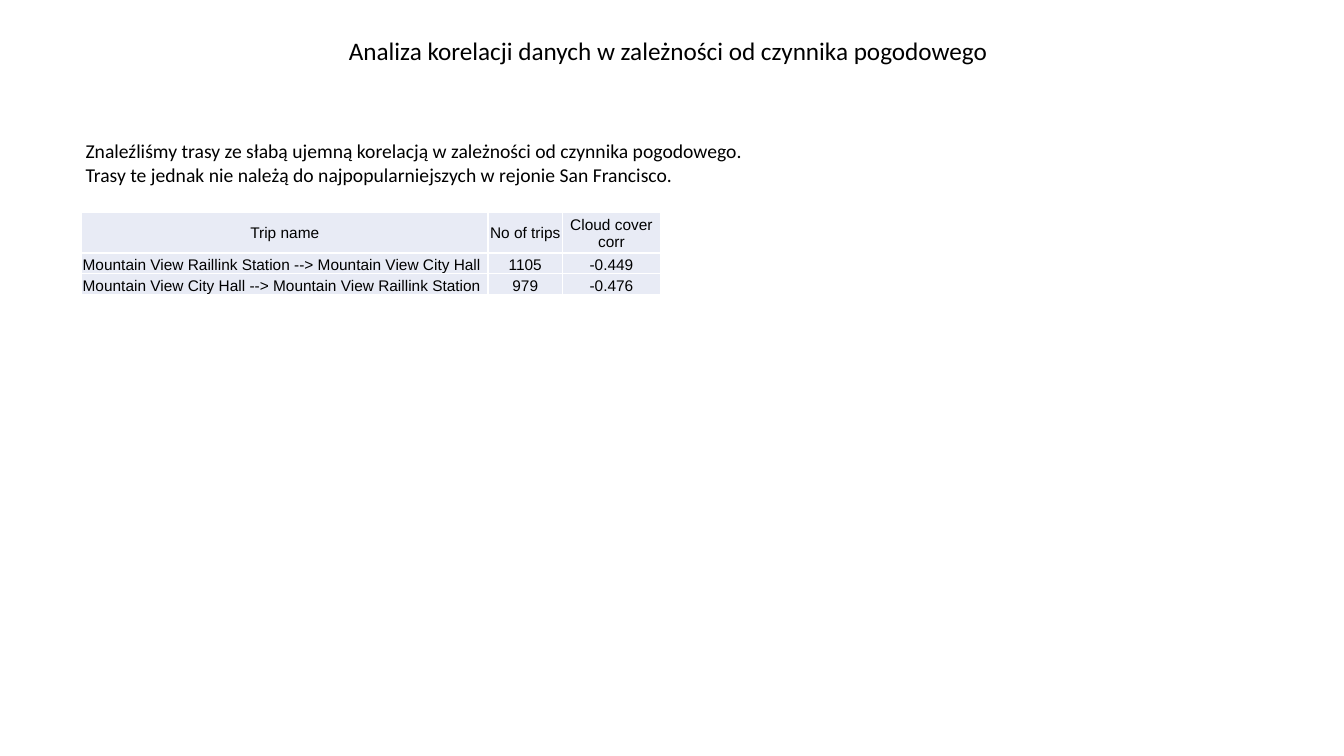
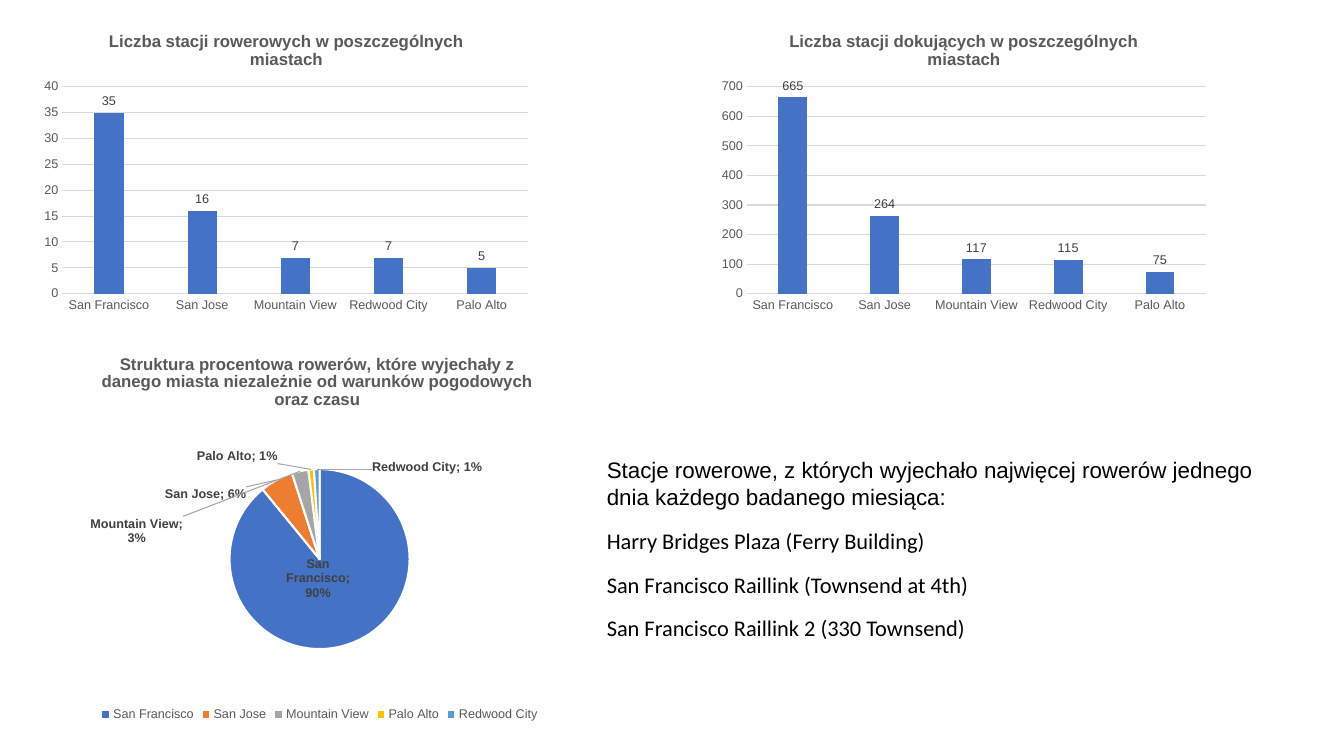
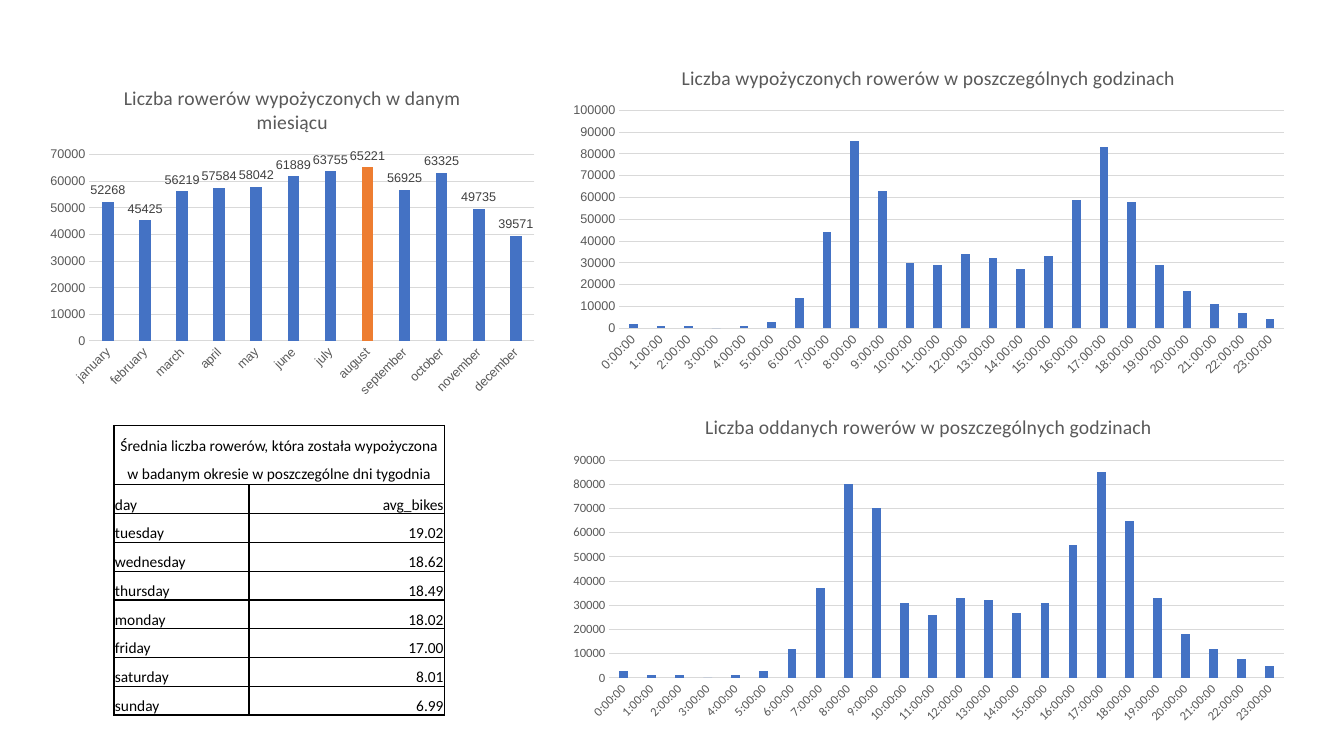
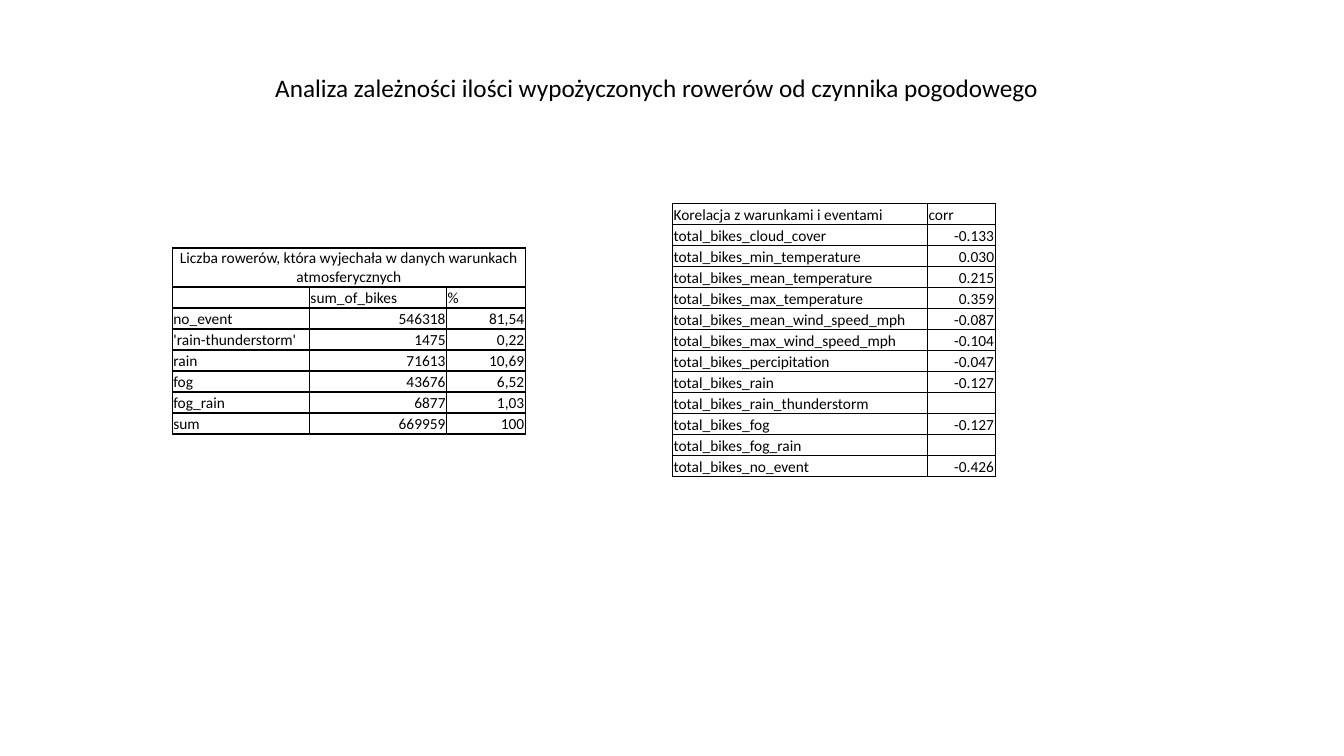
from dataclasses import dataclass

from pptx import Presentation
from pptx import util as u
from pptx.chart import data as chart_data
from pptx.dml.color import RGBColor
from pptx.enum import chart as charts, text
from pptx.oxml import parse_xml
from pptx.oxml.ns import nsdecls, qn


@dataclass(frozen=True)
class Theme:
    sans: str = "Arial"
    body: str = "Calibri"
    ink: str = "000000"
    white: str = "FFFFFF"
    axis: str = "595959"
    label: str = "404040"
    grid: str = "D9D9D9"
    leader: str = "A6A6A6"
    cell: str = "E8EBF5"
    blue: str = "4472C4"
    orange: str = "ED7D31"
    slices: tuple = ("4472C4", "ED7D31", "A5A5A5", "FFC000", "5B9BD5")
    title_size: int = 18
    list_size: int = 16
    text_size: int = 14
    bold_title_size: int = 12
    cell_size: int = 11
    chart_size: int = 9


T = Theme()
LEFT, CENTER, RIGHT = text.PP_ALIGN.LEFT, text.PP_ALIGN.CENTER, text.PP_ALIGN.RIGHT
TOP, MIDDLE, BOTTOM = (text.MSO_ANCHOR.TOP, text.MSO_ANCHOR.MIDDLE,
                       text.MSO_ANCHOR.BOTTOM)

CITIES = ["San Francisco", "San Jose", "Mountain View", "Redwood City", "Palo Alto"]
STATIONS = [35, 16, 7, 7, 5]
DOCKS = [665, 264, 117, 115, 75]
DEPARTURES = {"San Francisco": 0.9, "San Jose": 0.06, "Mountain View": 0.03,
              "Palo Alto": 0.01, "Redwood City": 0.01}
MONTHS = {"january": 52268, "february": 45425, "march": 56219, "april": 57584,
          "may": 58042, "june": 61889, "july": 63755, "august": 65221,
          "september": 56925, "october": 63325, "november": 49735,
          "december": 39571}
HOURS = [f"{hour}:00:00" for hour in range(24)]
RENTED_THOUSANDS = [2, 1, 1, 0, 1, 3, 14, 44, 86, 63, 30, 29,
                    34, 32, 27, 33, 59, 83, 58, 29, 17, 11, 7, 4]
RETURNED_THOUSANDS = [3, 1, 1, 0, 1, 3, 12, 37, 80, 70, 31, 26,
                      33, 32, 27, 31, 55, 85, 65, 33, 18, 12, 8, 5]


def rgb(color):
    return RGBColor.from_string(color)


def set_font(font, size, color=T.ink, name=T.body, bold=False):
    font.size, font.name, font.bold = u.Pt(size), name, bold
    font.color.rgb = rgb(color)


def inches(*lengths):
    return [u.Inches(length) for length in lengths]


# Text
def add_title(slide, box, wording):
    title = slide.shapes.title
    title.left, title.top, title.width, title.height = inches(*box)
    frame = title.text_frame
    frame.text = wording
    frame.word_wrap = True
    frame.auto_size = text.MSO_AUTO_SIZE.NONE
    frame.vertical_anchor = TOP
    frame.paragraphs[0].alignment = LEFT
    set_font(frame.paragraphs[0].font, T.title_size)


def add_text(slide, box, lines, size, spacing=0, first_font=T.body):
    frame = slide.shapes.add_textbox(*inches(*box)).text_frame
    frame.word_wrap = True
    frame.text = "\n".join(lines)
    for i, paragraph in enumerate(frame.paragraphs):
        paragraph.space_before = paragraph.space_after = u.Pt(spacing)
        set_font(paragraph.font, size, name=T.body if i else first_font)


# Tables
def border_cell(cell, color):
    properties = cell._tc.get_or_add_tcPr()
    for i, side in enumerate(("lnL", "lnR", "lnT", "lnB")):
        properties.insert(i, parse_xml(
            f'<a:{side} {nsdecls("a")} w="12700"><a:solidFill>'
            f'<a:srgbClr val="{color}"/></a:solidFill></a:{side}>'))


def format_cell(cell, wording, align, anchor, font, spacing):
    cell.margin_left = cell.margin_right = cell.margin_top = u.Inches(0.01)
    cell.margin_bottom = 0
    cell.vertical_anchor = anchor
    paragraph = cell.text_frame.paragraphs[0]
    if wording:
        paragraph.text = wording
    else:
        paragraph._p.get_or_add_endParaRPr().set("sz", str(T.cell_size * 100))
    paragraph.alignment = align
    set_font(paragraph.font, T.cell_size, name=font)
    if spacing:
        paragraph.line_spacing = spacing
        paragraph.space_before = paragraph.space_after = u.Pt(6)


def add_table(slide, at, widths, height, head_height, rows, aligns, heads=1,
              head_align=LEFT, caption_anchor=BOTTOM, font=T.body, fill=None,
              line=T.ink, spacing=None):
    """The first `heads` rows follow head_align; a one-cell first row is a caption."""
    table = slide.shapes.add_table(
        len(rows), len(widths), *inches(*at, sum(widths), height)).table
    table.first_row = table.horz_banding = False
    for column, width in zip(table.columns, widths):
        column.width = u.Inches(width)
    row_height = (height - head_height) / (len(rows) - 1)
    for r, row in enumerate(rows):
        table.rows[r].height = u.Inches(row_height if r else head_height)
        caption = len(row) == 1
        for c, column_align in enumerate(aligns):
            cell = table.cell(r, c)
            if caption:
                align = CENTER
            else:
                align = head_align if r < heads else column_align
            format_cell(cell, row[c] if c < len(row) else "", align,
                        caption_anchor if r == 0 else BOTTOM, font, spacing)
            if fill:
                cell.fill.solid()
                cell.fill.fore_color.rgb = rgb(fill)
            else:
                cell.fill.background()
            border_cell(cell, line)
        if caption:
            table.cell(r, 0).merge(table.cell(r, len(widths) - 1))


# Charts
def place_part(part, index, position, target=""):
    """Give a chart part a fixed place, in fractions of the chart."""
    for layout in part.findall(qn("c:layout")):
        part.remove(layout)
    lengths = "".join(f'<c:{key} val="{value}"/>'
                      for key, value in zip("xywh", position))
    part.insert(index, parse_xml(
        f'<c:layout {nsdecls("c")}><c:manualLayout>{target}'
        f'<c:xMode val="edge"/><c:yMode val="edge"/>{lengths}'
        '</c:manualLayout></c:layout>'))


def add_chart(slide, kind, box, title, categories, values, font, bold,
              title_font, number_format="General"):
    data = chart_data.CategoryChartData(number_format=number_format)
    data.categories = categories
    data.add_series("Series 1", values)
    chart = slide.shapes.add_chart(kind, *inches(*box), data).chart
    set_font(chart.font, 10, name=font)
    chart.has_legend = False
    chart.has_title = True
    heading = chart.chart_title.text_frame
    heading.text = title
    set_font(heading.paragraphs[0].font, T.bold_title_size if bold else T.text_size,
             T.axis, title_font, bold)
    return chart


def add_columns(slide, box, title, categories, values, top, step,
                font=T.sans, title_font=T.body, bold=False, labels=True,
                accent=None):
    chart = add_chart(slide, charts.XL_CHART_TYPE.COLUMN_CLUSTERED, box, title,
                      categories, values, font, bold, title_font)
    plot = chart.plots[0]
    plot.gap_width, plot.overlap, plot.vary_by_categories = 219, -27, False
    series = plot.series[0]
    series.format.fill.solid()
    series.format.fill.fore_color.rgb = rgb(T.blue)
    if accent is not None:
        bar = series.points[accent].format.fill
        bar.solid()
        bar.fore_color.rgb = rgb(T.orange)
    if labels:
        marks = series.data_labels
        marks.show_value = True
        marks.position = charts.XL_LABEL_POSITION.OUTSIDE_END
        set_font(marks.font, T.chart_size, T.label, font)

    category, value = chart.category_axis, chart.value_axis
    for axis in (category, value):
        axis.major_tick_mark = axis.minor_tick_mark = charts.XL_TICK_MARK.NONE
        set_font(axis.tick_labels.font, T.chart_size, T.axis, font)
        # Let the renderer choose the slant of the labels
        axis._element.txPr.find(qn("a:bodyPr")).set("rot", "-60000000")
    value.minimum_scale, value.maximum_scale, value.major_unit = 0, top, step
    value.format.line.fill.background()
    value.has_major_gridlines = True
    for line in (category.format.line, value.major_gridlines.format.line):
        line.color.rgb = rgb(T.grid)
        line.width = u.Pt(0.75)


def label_slices(series, places):
    """Label each slice at its (position, x shift, y shift, width or None)."""
    style = (
        '<c:numFmt formatCode="0%" sourceLinked="0"/><c:spPr><a:noFill/></c:spPr>'
        '<c:txPr><a:bodyPr/><a:p><a:pPr>'
        f'<a:defRPr sz="{T.chart_size * 100}" b="1"><a:solidFill>'
        f'<a:srgbClr val="{T.label}"/></a:solidFill><a:latin typeface="{T.sans}"/>'
        '</a:defRPr></a:pPr><a:endParaRPr lang="pl-PL"/></a:p></c:txPr>')
    shows = (
        '<c:showLegendKey val="0"/><c:showVal val="1"/><c:showCatName val="1"/>'
        '<c:showSerName val="0"/><c:showPercent val="0"/>'
        '<c:showBubbleSize val="0"/><c:separator>; </c:separator>')

    def label_size(width):
        if width is None:
            return ""
        return (
            '<c:extLst><c:ext uri="{CE6537A1-D6FC-4f65-9D91-7224C49458BB}" '
            'xmlns:c15="http://schemas.microsoft.com/office/drawing/2012/chart">'
            f'<c15:layout><c:manualLayout><c:w val="{width}"/><c:h val="0.1"/>'
            '</c:manualLayout></c15:layout></c:ext></c:extLst>')

    slices = "".join(
        f'<c:dLbl><c:idx val="{i}"/><c:layout><c:manualLayout><c:x val="{x}"/>'
        f'<c:y val="{y}"/></c:manualLayout></c:layout>{style}'
        f'<c:dLblPos val="{position}"/>{shows}{label_size(width)}</c:dLbl>'
        for i, (position, x, y, width) in enumerate(places))
    series._element.find(qn("c:cat")).addprevious(parse_xml(
        f'<c:dLbls {nsdecls("c", "a")}>{slices}{style}<c:dLblPos val="inEnd"/>'
        f'{shows}<c:showLeaderLines val="1"/><c:leaderLines><c:spPr>'
        f'<a:ln w="9525"><a:solidFill><a:srgbClr val="{T.leader}"/></a:solidFill>'
        '</a:ln></c:spPr></c:leaderLines></c:dLbls>'))


def add_pie(slide, box, title, shares, title_at, plot_box, places):
    chart = add_chart(slide, charts.XL_CHART_TYPE.PIE, box, title, list(shares),
                      list(shares.values()), T.sans, True, T.sans, "0%")
    place_part(chart.chart_title._element, 1, title_at)
    place_part(chart._chartSpace.chart.plotArea, 0, plot_box,
               '<c:layoutTarget val="inner"/>')
    chart.has_legend = True
    chart.legend.position = charts.XL_LEGEND_POSITION.BOTTOM
    chart.legend.include_in_layout = False
    set_font(chart.legend.font, T.chart_size, T.axis, T.sans)
    plot = chart.plots[0]
    plot.vary_by_categories = True
    for i, color in enumerate(T.slices):
        look = plot.series[0].points[i].format
        look.fill.solid()
        look.fill.fore_color.rgb = rgb(color)
        look.line.color.rgb = rgb(T.white)
        look.line.width = u.Pt(1.5)
    label_slices(plot.series[0], places)


# Slides
def build_correlation(slide):
    add_title(slide, (3.36, 0.3, 6.61, 0.71),
              "Analiza korelacji danych w zależności od czynnika pogodowego")
    add_text(slide, (0.75, 1.33, 10.74, 0.57), [
        "Znaleźliśmy trasy ze słabą ujemną korelacją w zależności od czynnika "
        "pogodowego.",
        "Trasy te jednak nie należą do najpopularniejszych w rejonie San Francisco.",
    ], T.text_size)
    add_table(slide, (0.81, 2.11), [4.03, 0.74, 0.97], 0.81, 0.4, [
        ["Trip name", "No of trips", "Cloud cover corr"],
        ["Mountain View Raillink Station --> Mountain View City Hall",
         "1105", "-0.449"],
        ["Mountain View City Hall --> Mountain View Raillink Station",
         "979", "-0.476"],
    ], [LEFT, CENTER, CENTER], head_align=CENTER, caption_anchor=MIDDLE,
        font=T.sans, fill=T.cell, line=T.white)


def build_cities(slide):
    add_columns(slide, (0.34, 0.16, 5, 3),
                "Liczba stacji rowerowych w poszczególnych miastach",
                CITIES, STATIONS, 40, 5, title_font=T.sans, bold=True)
    add_columns(slide, (7.06, 0.16, 5, 3),
                "Liczba stacji dokujących w poszczególnych miastach",
                CITIES, DOCKS, 700, 100, title_font=T.sans, bold=True)
    add_pie(slide, (0.43, 3.4, 5.48, 3.8),
            "Struktura procentowa rowerów, które wyjechały z danego miasta "
            "niezależnie od warunków pogodowych oraz czasu",
            DEPARTURES, (0.1, 0.02), (0.33, 0.33, 0.34, 0.47),
            [("ctr", -0.03, -0.06, 0.19), ("outEnd", -0.05, 0.07, None),
             ("outEnd", -0.21, 0.21, None), ("outEnd", -0.06, 0, None),
             ("outEnd", 0.2, 0.03, 0.17)])
    add_text(slide, (5.92, 4.48, 6.67, 2.39), [
        "Stacje rowerowe, z których wyjechało najwięcej rowerów jednego dnia "
        "każdego badanego miesiąca:",
        "Harry Bridges Plaza (Ferry Building)",
        "San Francisco Raillink (Townsend at 4th)",
        "San Francisco Raillink 2 (330 Townsend)",
    ], T.list_size, spacing=6, first_font=T.sans)


def build_time(slide):
    add_columns(slide, (0.4, 0.68, 5, 3.33),
                "Liczba rowerów wypożyczonych w danym miesiącu",
                list(MONTHS), list(MONTHS.values()), 70000, 10000,
                accent=list(MONTHS).index("august"))
    add_table(slide, (1.13, 4.22), [1.34, 1.94], 2.87, 0.59, [
        ["Średnia liczba rowerów, która została wypożyczona w badanym okresie "
         "w poszczególne dni tygodnia"],
        ["day", "avg_bikes"],
        ["tuesday", "19.02"],
        ["wednesday", "18.62"],
        ["thursday", "18.49"],
        ["monday", "18.02"],
        ["friday", "17.00"],
        ["saturday", "8.01"],
        ["sunday", "6.99"],
    ], [LEFT, RIGHT], caption_anchor=MIDDLE, spacing=1.5)
    add_columns(slide, (5.54, 0.48, 7.34, 3.33),
                "Liczba wypożyczonych rowerów w poszczególnych godzinach",
                HOURS, [1000 * count for count in RENTED_THOUSANDS],
                100000, 10000, labels=False)
    add_columns(slide, (5.54, 3.95, 7.34, 3.3),
                "Liczba oddanych rowerów w poszczególnych godzinach",
                HOURS, [1000 * count for count in RETURNED_THOUSANDS],
                90000, 10000, font=T.body, labels=False)


def build_weather(slide):
    add_title(slide, (2.63, 0.67, 8.07, 0.71),
              "Analiza zależności ilości wypożyczonych rowerów od czynnika "
              "pogodowego")
    add_table(slide, (1.71, 2.46), [1.36, 1.36, 0.78], 1.84, 0.38, [
        ["Liczba rowerów, która wyjechała w danych warunkach atmosferycznych"],
        ["", "sum_of_bikes", "%"],
        ["no_event", "546318", "81,54"],
        ["'rain-thunderstorm'", "1475", "0,22"],
        ["rain", "71613", "10,69"],
        ["fog", "43676", "6,52"],
        ["fog_rain", "6877", "1,03"],
        ["sum", "669959", "100"],
    ], [LEFT, RIGHT, RIGHT], heads=2)
    correlations = {
        "cloud_cover": "-0.133", "min_temperature": "0.030",
        "mean_temperature": "0.215", "max_temperature": "0.359",
        "mean_wind_speed_mph": "-0.087", "max_wind_speed_mph": "-0.104",
        "percipitation": "-0.047", "rain": "-0.127", "rain_thunderstorm": "",
        "fog": "-0.127", "fog_rain": "", "no_event": "-0.426"}
    add_table(slide, (6.67, 2.02), [2.53, 0.67], 2.71, 0.21,
              [["Korelacja z warunkami i eventami", "corr"]]
              + [[f"total_bikes_{factor}", corr]
                 for factor, corr in correlations.items()],
              [LEFT, RIGHT])


def main():
    deck = Presentation()
    deck.slide_width, deck.slide_height = inches(13.33, 7.5)
    title_only, blank = deck.slide_layouts[5], deck.slide_layouts[6]
    for build, layout in ((build_correlation, title_only), (build_cities, blank),
                          (build_time, blank), (build_weather, title_only)):
        build(deck.slides.add_slide(layout))
    deck.save("out.pptx")


main()
